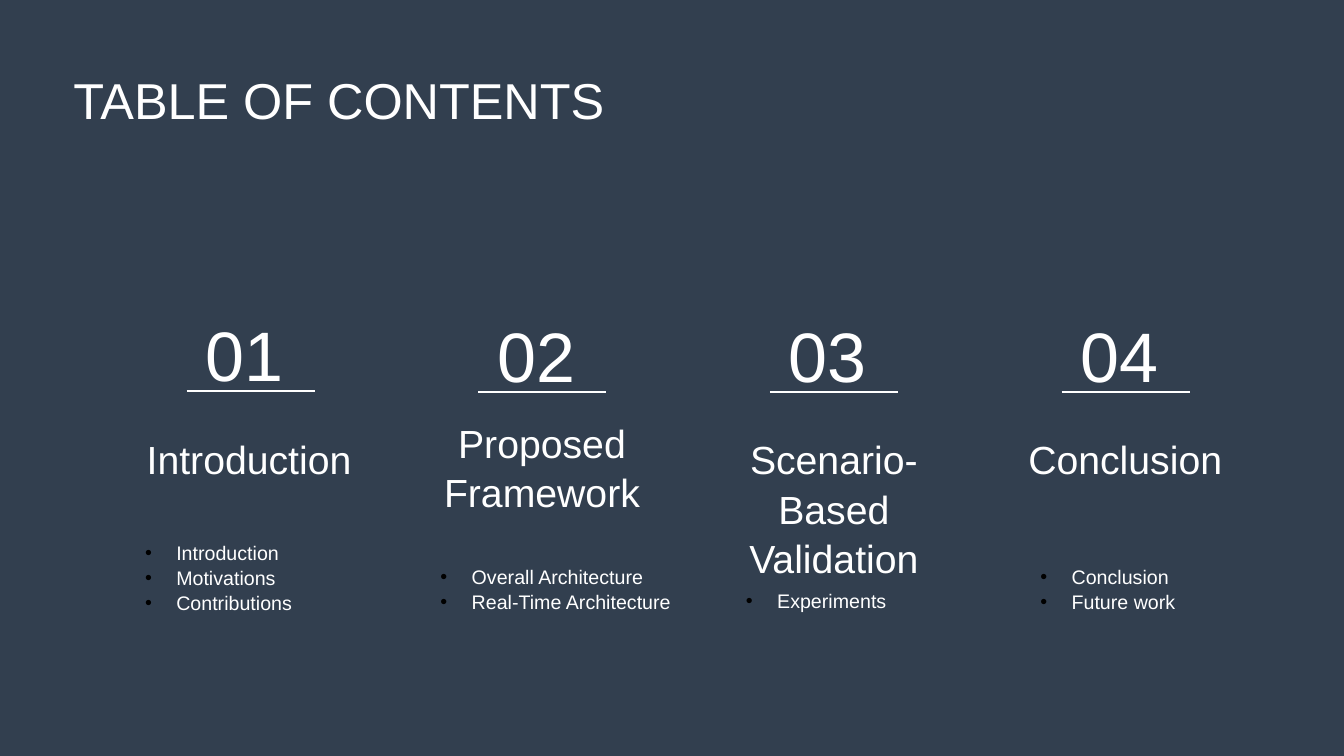
from lxml.etree import SubElement
from pptx import Presentation
from pptx.dml.color import RGBColor
from pptx.enum.shapes import MSO_CONNECTOR, MSO_SHAPE
from pptx.enum.text import MSO_AUTO_SIZE, PP_ALIGN
from pptx.oxml.ns import qn
from pptx.util import Inches, Pt

TITLE = "TABLE OF CONTENTS"
PARTS = [
    {"num": "01", "head": "Introduction", "box": (1.27, 4.21, 2.4), "list": (1.34, 2.28),
     "drop": 0, "items": ["Introduction", "Motivations", "Contributions"]},
    {"num": "02", "head": "Proposed Framework", "box": (4.27, 4.05, 2.21), "list": (4.27, 2.52),
     "drop": 0.01, "items": ["Overall Architecture", "Real-Time Architecture"]},
    {"num": "03", "head": "Scenario-Based Validation", "box": (6.96, 4.21, 2.62), "list": (7.3, 2.28),
     "drop": 0.01, "items": ["Experiments"]},
    {"num": "04", "head": "Conclusion", "box": (10.03, 4.21, 2.26), "list": (10.22, 2.28),
     "drop": 0.01, "items": ["Conclusion", "Future work"]},
]
COLORS = {"back": "323F4F", "text": "FFFFFF", "dot": "000000"}
SIZES = {"title": 36, "num": 50, "head": 28, "item": 14}
WIDE, HIGH = 13.33, 7.5
STEP = 2.893
BASE, ROW, PAD = 6.1, 0.237, 0.1
INDENT = 0.31
SPACING = 1.06


def color(name):
    return RGBColor.from_string(COLORS[name])


def put(item, values):
    for name, value in values.items():
        setattr(item, name, value)


def write(shapes, lines, place, size, align=PP_ALIGN.LEFT):
    box = shapes.add_textbox(*map(Inches, place))
    frame = box.text_frame
    put(frame, {"word_wrap": True, "margin_top": Inches(0.05 + size * 0.001)})
    frame.text = "\n".join(lines)
    for para in frame.paragraphs:
        put(para, {"alignment": align, "line_spacing": SPACING})
        put(para.font, {"name": "Arial", "size": Pt(size)})
        for run in para.runs:
            put(run.font, {"name": "Arial", "size": Pt(size)})
            run.font.color.rgb = color("text")
    return frame


def bullet(para):
    props = para._p.get_or_add_pPr()
    props.set("marL", str(Inches(INDENT)))
    props.set("indent", str(-Inches(INDENT)))
    tint = SubElement(props, qn("a:buClr"))
    SubElement(tint, qn("a:srgbClr"), val=COLORS["dot"])
    SubElement(props, qn("a:buFont"), typeface="Arial")
    SubElement(props, qn("a:buChar"), char="•")


def rule(shapes, left, top, width):
    line = shapes.add_connector(
        MSO_CONNECTOR.STRAIGHT, Inches(left), Inches(top), Inches(left + width), Inches(top))
    line.line.color.rgb = color("text")
    line.line.width = Pt(1)
    SubElement(line._element.spPr, qn("a:effectLst"))


def main():
    deck = Presentation()
    put(deck, {"slide_width": Inches(WIDE), "slide_height": Inches(HIGH)})
    shapes = deck.slides.add_slide(deck.slide_layouts[6]).shapes

    back = shapes.add_shape(MSO_SHAPE.RECTANGLE, 0, 0, Inches(WIDE), Inches(HIGH))
    back.shadow.inherit = False
    back.fill.solid()
    back.fill.fore_color.rgb = color("back")
    back.line.fill.background()

    group = shapes.add_group_shape().shapes
    for col, part in enumerate(PARTS):
        shift, drop = col * STEP, part["drop"]
        write(group, [part["num"]], (1.94 + shift, 2.94 + drop, 1.07, 0.94), SIZES["num"])
        write(group, [part["head"]], (*part["box"], 0.5), SIZES["head"], PP_ALIGN.CENTER)
        rule(group, 1.85 + shift, 3.88 + drop, 1.27)

    write(shapes, [TITLE], (0.63, 0.56, 5.95, 0.71), SIZES["title"])
    for part in PARTS:
        left, width = part["list"]
        tall = PAD + ROW * len(part["items"])
        frame = write(shapes, part["items"], (left, BASE - tall, width, tall), SIZES["item"])
        frame.auto_size = MSO_AUTO_SIZE.SHAPE_TO_FIT_TEXT
        for para in frame.paragraphs:
            bullet(para)

    deck.save("out.pptx")


if __name__ == "__main__":
    main()
